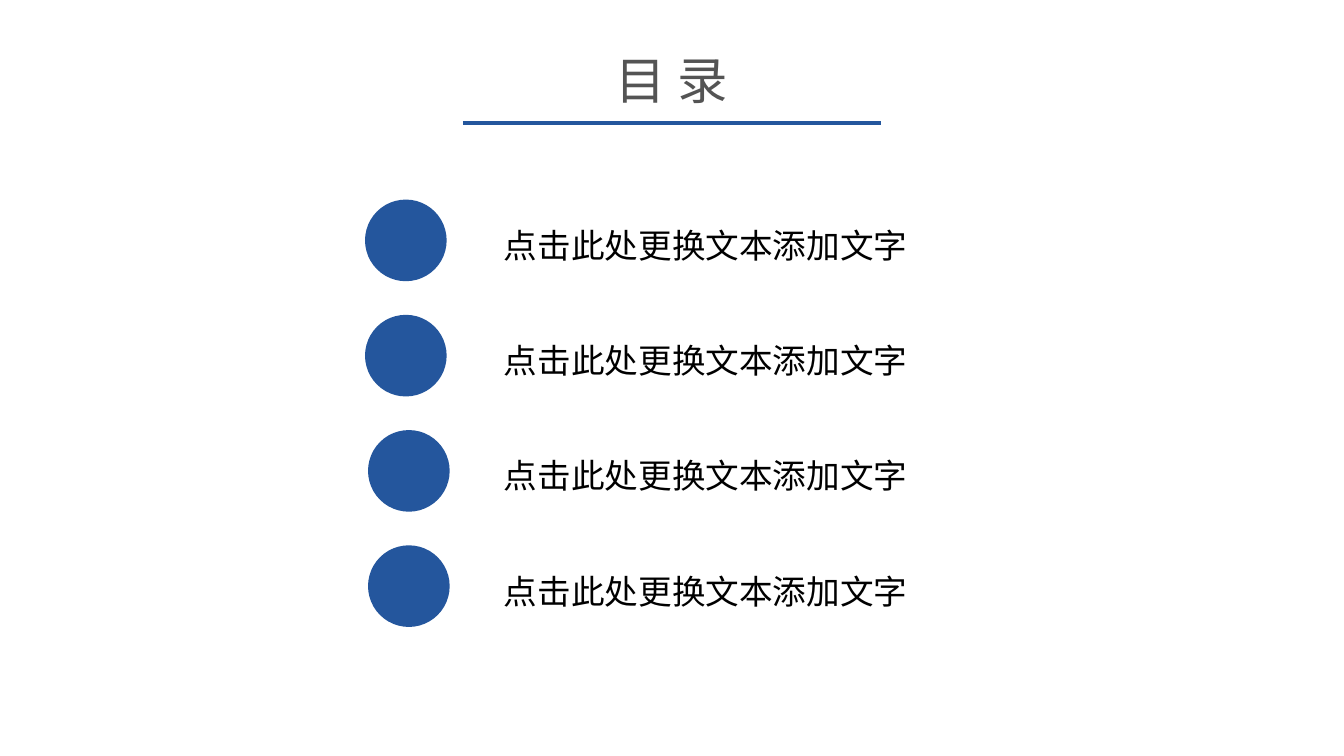
from lxml import etree
from pptx import Presentation
from pptx import util as u
from pptx.dml.color import RGBColor
from pptx.enum import shapes, text
from pptx.oxml import ns

COLORS = {"blue": "24569D", "title": "545454", "body": "000000"}
FONT = "Noto Sans CJK SC"
ENTRIES = ["点击此处更换文本添加文字"] * 4
DOT_SHIFTS = [0, 0, 0.03, 0.03]
DOT_SIZE = 0.81


def color(name):
    return RGBColor.from_string(COLORS[name])


def inches(*lengths):
    return [u.Inches(length) for length in lengths]


def write(box, words, size, color_name):
    box.text_frame.text = words
    para = box.text_frame.paragraphs[0]
    para.font.name = FONT
    para.font.size = u.Pt(size)
    para.font.color.rgb = color(color_name)
    # Chinese characters take the East Asian typeface
    defaults = para._p.pPr.find(ns.qn("a:defRPr"))
    etree.SubElement(defaults, ns.qn("a:ea"), typeface=FONT)
    return para


def add_heading(slide, left, top, width, height):
    """Centred title with a rule along the bottom of the box."""
    title = slide.shapes.title
    title_width, title_height = 1.36, 0.71
    title.left, title.top, title.width, title.height = inches(
        left + (width - title_width) / 2, top, title_width, title_height)
    para = write(title, "目 录", 36, "title")
    para.alignment = text.PP_ALIGN.CENTER
    title.text_frame.word_wrap = False

    rule = slide.shapes.add_connector(
        shapes.MSO_CONNECTOR.STRAIGHT,
        *inches(left, top + height, left + width, top + height))
    rule.line.color.rgb = color("blue")
    rule.line.width = u.Pt(3.5)
    etree.SubElement(rule._element.spPr, ns.qn("a:effectLst"))


def add_entry(slide, left, top, width, words, dot_shift):
    """One contents row: a dot and its text."""
    dot = slide.shapes.add_shape(
        shapes.MSO_SHAPE.OVAL,
        *inches(left + dot_shift, top, DOT_SIZE, DOT_SIZE))
    dot.shadow.inherit = False
    dot.fill.solid()
    dot.fill.fore_color.rgb = color("blue")
    dot.line.fill.background()

    indent = 1.28
    label = slide.shapes.add_textbox(
        *inches(left + indent, top + 0.1, width - indent, 0.61))
    label.text_frame.word_wrap = True
    label.text_frame.auto_size = text.MSO_AUTO_SIZE.SHAPE_TO_FIT_TEXT
    para = write(label, words, 24, "body")
    para.line_spacing = 1.25


def add_contents(slide, left, top, width, height):
    """Rows spread evenly over the box."""
    pitch = (height - DOT_SIZE) / (len(ENTRIES) - 1)
    for row, (words, shift) in enumerate(zip(ENTRIES, DOT_SHIFTS)):
        add_entry(slide, left, top + row * pitch, width, words, shift)


def main():
    deck = Presentation()
    deck.slide_width, deck.slide_height = inches(13.33, 7.5)
    slide = deck.slides.add_slide(deck.slide_layouts.get_by_name("Title Only"))
    add_heading(slide, 4.59, 0.43, 4.15, 0.79)
    add_contents(slide, 3.62, 1.98, 7.77, 4.24)
    deck.save("out.pptx")


if __name__ == "__main__":
    main()
